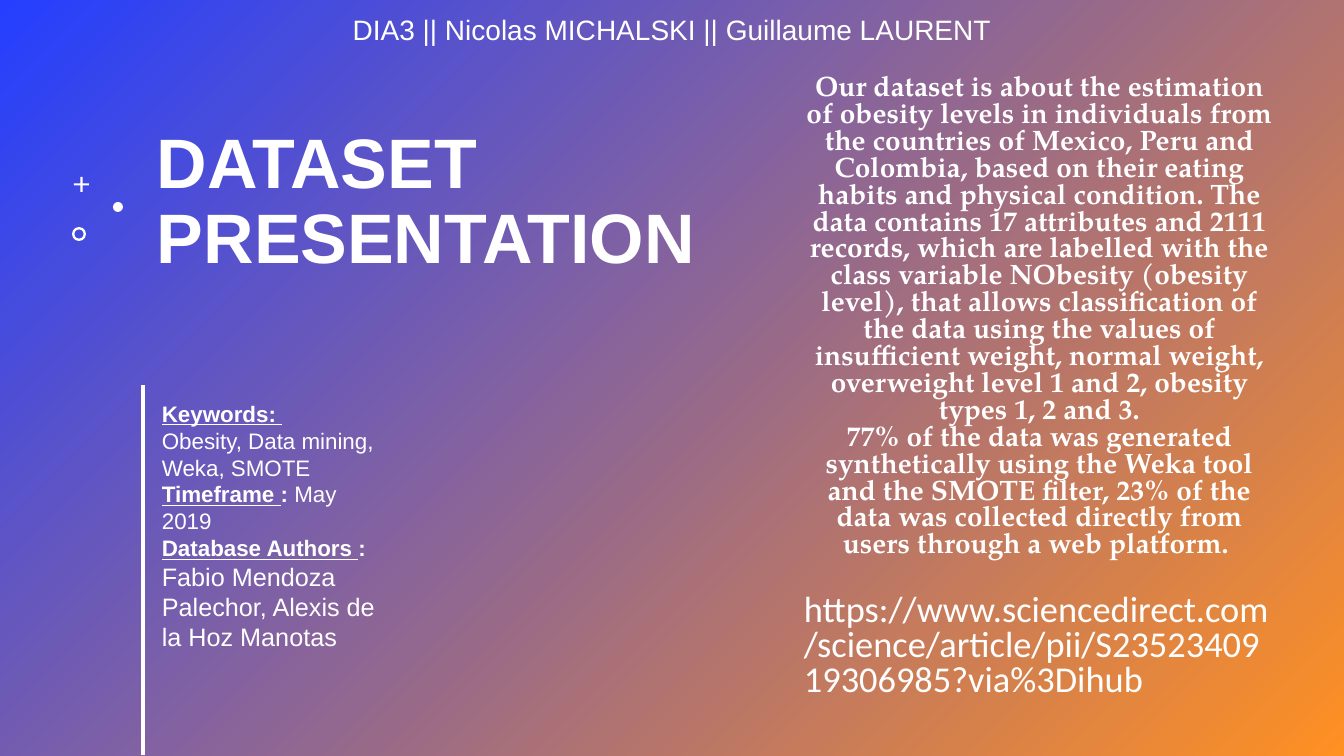
"""Build the dataset presentation slide."""
from lxml.etree import SubElement
from pptx import Presentation
from pptx.dml.color import RGBColor
from pptx.enum.shapes import MSO_CONNECTOR, MSO_SHAPE
from pptx.enum.text import MSO_ANCHOR, PP_ALIGN
from pptx.oxml.ns import qn
from pptx.util import Pt

PX = 914400 / 100.8
WHITE = RGBColor(0xFF, 0xFF, 0xFF)
BLUE = RGBColor(0x24, 0x3F, 0xFF)
ORANGE = RGBColor(0xFF, 0x90, 0x22)
SERIF = "TeX Gyre Pagella"


def px(*sizes):
    return [round(size * PX) for size in sizes]


def write(para, text, size=16, face="Arial", bold=False, under=False,
          align=PP_ALIGN.LEFT, space=1.0, before=0):
    para.alignment = align
    para.line_spacing = space
    para.space_before = Pt(before)
    for row, line in enumerate(text.split("\n")):
        if row:
            para.add_line_break()
        run = para.add_run()
        run.text = line
        font = run.font
        font.size, font.name = Pt(size), face
        font.bold, font.underline = bold, under
        font.color.rgb = WHITE


deck = Presentation()
deck.slide_width, deck.slide_height = px(1344, 756)
slide = deck.slides.add_slide(deck.slide_layouts[6])
shapes = slide.shapes

back = shapes.add_shape(MSO_SHAPE.RECTANGLE, *px(0, 0, 1344, 756))
back.shadow.inherit = False
back.line.fill.background()
back.fill.gradient()
back.fill.gradient_angle = 315
for stop, color, place in zip(back.fill.gradient_stops, (BLUE, ORANGE), (0, 1)):
    stop.color.rgb = color
    stop.position = place

icons = [
    (MSO_SHAPE.CROSS, 74, 177, 15, 0.43),
    (MSO_SHAPE.OVAL, 113, 202, 10, None),
    (MSO_SHAPE.DONUT, 72, 227, 14, 0.17),
]
for kind, left, top, side, adjust in icons:
    icon = shapes.add_shape(kind, *px(left, top, side, side))
    icon.shadow.inherit = False
    icon.fill.solid()
    icon.fill.fore_color.rgb = WHITE
    icon.line.fill.background()
    if adjust:
        icon.adjustments[0] = adjust

rule = shapes.add_connector(MSO_CONNECTOR.STRAIGHT, *px(143, 385, 143, 755))
rule.line.color.rgb = WHITE
rule.line.width = Pt(2.25)
SubElement(rule._element.spPr, qn("a:effectLst"))

frames = []
for left, top, width, height, anchor in [
    (147, 109, 589, 175, MSO_ANCHOR.BOTTOM),
    (794, 61, 491, 652, MSO_ANCHOR.MIDDLE),
    (152, 395, 245, 319, MSO_ANCHOR.TOP),
    (304, 0, 736, 62, MSO_ANCHOR.MIDDLE),
]:
    frame = shapes.add_textbox(*px(left, top, width, height)).text_frame
    frame.word_wrap = True
    frame.vertical_anchor = anchor
    frames.append(frame)
title, body, facts, head = frames

write(title.paragraphs[0], "DATASET PRESENTATION", size=50, bold=True, space=0.9)
write(head.paragraphs[0], "DIA3 || Nicolas MICHALSKI || Guillaume LAURENT",
      size=20, align=PP_ALIGN.CENTER, space=0.9)

story = [
    "Our dataset is about the estimation of obesity levels in individuals from "
    "the countries of Mexico, Peru and Colombia, based on their eating habits "
    "and physical condition. The data contains 17 attributes and 2111 records, "
    "which are labelled with the class variable NObesity (obesity level), that "
    "allows classification of the data using the values of insufficient weight, "
    "normal weight, overweight level 1 and 2, obesity types 1, 2 and 3.",
    "77% of the data was generated synthetically using the Weka tool and the "
    "SMOTE filter, 23% of the data was collected directly from users through a "
    "web platform. ",
]
for row, text in enumerate(story):
    para = body.add_paragraph() if row else body.paragraphs[0]
    write(para, text, size=20, face=SERIF, bold=True,
          align=PP_ALIGN.CENTER, space=0.8)
link = ("https://www.sciencedirect.com\n/science/article/pii/S23523409\n"
        "19306985?via%3Dihub")
write(body.add_paragraph(), link, size=26, face="Calibri", space=0.8, before=25)

label = {"bold": True, "under": True}
colon = (": ", {"bold": True})
notes = [
    [("Keywords: ", label)],
    [("Obesity, Data mining, Weka, SMOTE", {})],
    [("Timeframe ", label), colon, ("May 2019", {})],
    [("Database Authors ", label), colon,
     ("Fabio Mendoza Palechor, Alexis de la Hoz Manotas", {"size": 18})],
]
for row, runs in enumerate(notes):
    para = facts.add_paragraph() if row else facts.paragraphs[0]
    for text, style in runs:
        write(para, text, **style)

deck.save("out.pptx")
